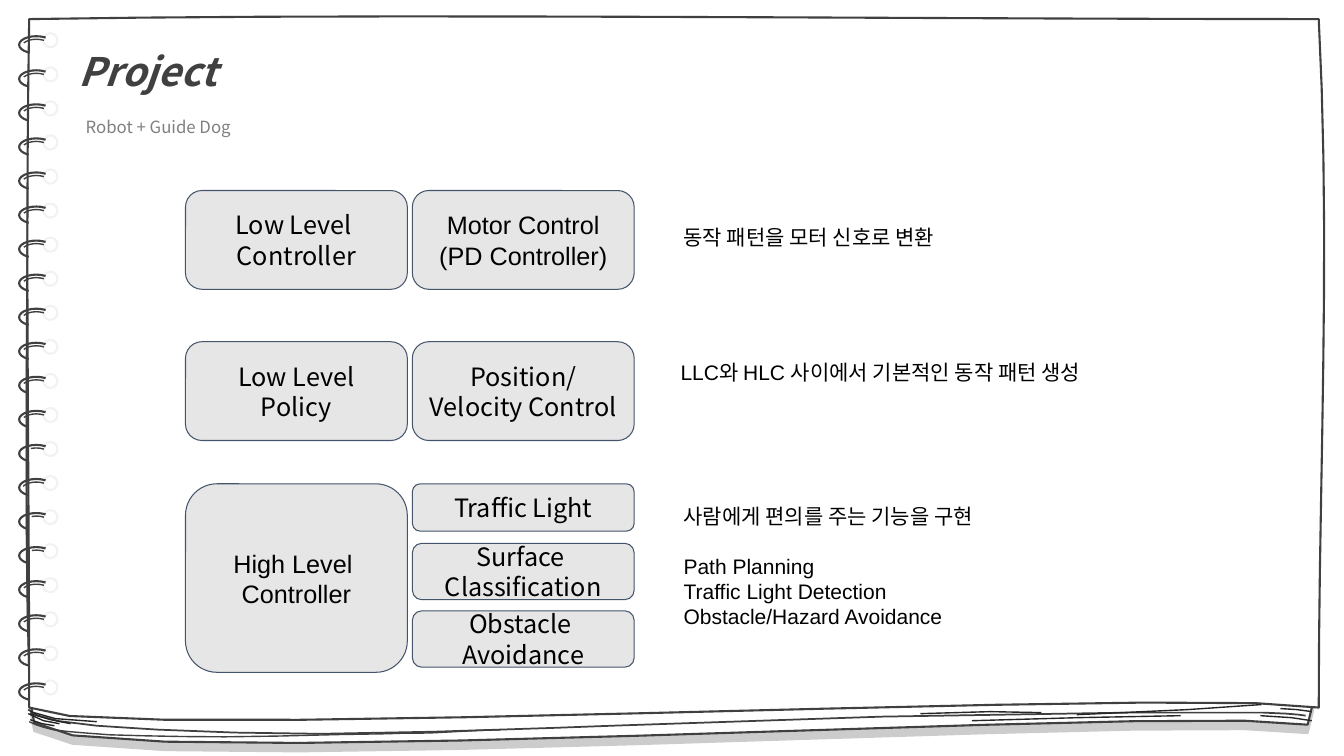
from dataclasses import dataclass

from lxml import etree
from pptx import Presentation
from pptx.dml.color import RGBColor
from pptx.enum.shapes import MSO_SHAPE as Preset
from pptx.enum.text import MSO_ANCHOR as Anchor, MSO_AUTO_SIZE as AutoSize, PP_ALIGN as Align
from pptx.oxml.ns import qn
from pptx.util import Inches, Pt

Point = tuple[float, float]


@dataclass(frozen=True)
class Theme:
    paper: str = "FFFFFF"
    ink: str = "404040"
    dark_ink: str = "262626"
    hole: str = "F2F2F2"
    card: str = "E7E6E6"
    card_line: str = "44546A"
    text: str = "000000"
    muted: str = "808080"
    sans: str = "Arial"
    korean: str = "Noto Sans CJK KR"
    title_size: int = 28
    card_size: int = 18
    note_size: int = 15
    subtitle_size: int = 12


THEME = Theme()


@dataclass(frozen=True)
class Stroke:
    """A pen line: each segment holds one point (straight) or three (Bézier)."""
    start: Point
    segments: list[list[Point]]
    color: str = THEME.dark_ink
    width: float = 1
    closed: bool = False
    shadow: bool = False


@dataclass(frozen=True)
class Card:
    lines: list[str]
    left: float
    top: float
    height: float = 0.98
    font: str = THEME.korean


@dataclass(frozen=True)
class Note:
    text: str
    left: float
    top: float
    width: float
    line_spacing: float


# Notebook pages and the sketchy page edges at the bottom
STROKES = [
    Stroke((0.3, 0.41), [[(3.87, 0.35), (8.75, 0.41), (12.98, 0.41)],
                         [(13.09, 2.7), (13.16, 6.88), (12.97, 7.19)],
                         [(11.83, 6.97), (0.58, 7.71), (0.34, 7.17)],
                         [(0.23, 7.07), (0.26, 2.68), (0.3, 0.41)]],
           THEME.ink, 1.5, closed=True, shadow=True),
    Stroke((0.29, 0.19), [[(3.89, 0.13), (8.82, 0.19), (13.08, 0.19)],
                          [(13.2, 2.48), (13.08, 4.74), (13.08, 7.02)],
                          [(11.93, 6.8), (0.6, 7.39), (0.29, 7.02)],
                          [(0.29, 4.74), (0.25, 2.45), (0.29, 0.19)]],
           THEME.ink, 1.5, closed=True),
    Stroke((0.28, 7.04), [[(0.34, 7.1), (0.48, 7.16), (0.96, 7.2)],
                          [(1.44, 7.24), (2.33, 7.28), (3.18, 7.28)],
                          [(4.03, 7.28), (6.07, 7.2), (6.07, 7.2)],
                          [(8.75, 7.11)], [(11.19, 7.07)],
                          [(11.82, 7.07), (12.24, 7.07), (12.53, 7.07)],
                          [(12.82, 7.08), (12.89, 7.09), (12.95, 7.1)]], THEME.ink, 1.25),
    Stroke((0.29, 7.16), [[(0.35, 7.19), (0.4, 7.21), (0.53, 7.24)],
                          [(0.67, 7.26), (0.81, 7.27), (1.09, 7.29)],
                          [(1.38, 7.3), (1.78, 7.31), (2.23, 7.31)],
                          [(2.69, 7.31), (3.47, 7.28), (3.82, 7.28)],
                          [(3.98, 7.27), (4.11, 7.28), (4.3, 7.27)],
                          [(4.49, 7.26), (4.84, 7.24), (4.97, 7.24)]], THEME.ink),
    Stroke((9.64, 7.15), [[(10.69, 7.12)], [(11.71, 7.1)]]),
    Stroke((9.13, 7.08), [[(9.82, 7.06)], [(10.33, 7.07)]]),
    Stroke((10.68, 7.09), [[(11.78, 7.04)], [(12.51, 6.99)]]),
    Stroke((13.01, 7.15), [[(12.81, 7.12)], [(12.5, 7.1)]]),
    Stroke((13.01, 7.06), [[(12.86, 7.04)], [(12.7, 7.03)]]),
    Stroke((0.3, 7.06), [[(0.55, 7.13)], [(0.96, 7.16)]]),
    Stroke((0.3, 7.08), [[(0.5, 7.14)], [(0.7, 7.18)]]),
    Stroke((0.28, 7.08), [[(0.43, 7.15)], [(0.59, 7.18)]]),
    Stroke((0.3, 7.14), [[(0.42, 7.18)], [(0.54, 7.2)]]),
]
PAGE_STEPS, EDGE_STEPS = 10, 3

# Spiral binding
RING_COUNT, FIRST_RING, LAST_RING = 20, 0.33, 6.75
ARC_END, OUTER_START, INNER_START = 193.3, 80.72, 117.2
SHORTER_INNER = {12: 138.14, 13: 115.22, 14: 141.26, 15: 142.01}

# Control layers on the left, their parts on the right
LAYER_X, PART_X, CARD_WIDTH = 1.84, 4.09, 2.2
CARDS = [
    Card(["Low Level ", "Controller"], LAYER_X, 1.89),
    Card(["Low Level Policy"], LAYER_X, 3.39),
    Card(["High Level ", "Controller"], LAYER_X, 4.8, 1.87, THEME.sans),
    Card(["Motor Control", "(PD Controller)"], PART_X, 1.89, font=THEME.sans),
    Card(["Position/Velocity Control"], PART_X, 3.39),
    Card(["Traffic Light"], PART_X, 4.8, 0.47),
    Card(["Surface ", "Classification"], PART_X, 5.39, 0.56),
    Card(["Obstacle ", "Avoidance"], PART_X, 6.06, 0.56),
]
NOTES = [
    Note("동작 패턴을 모터 신호로 변환", 6.56, 2.21, 3.24, 0.9),
    Note("LLC와 HLC 사이에서 기본적인 동작 패턴 생성", 6.53, 3.52, 4.74, 1),
]
FUNCTIONS = ["사람에게 편의를 주는 기능을 구현", "Path Planning",
             "Traffic Light Detection", "Obstacle/Hazard Avoidance"]


def place(shape, left: float, top: float, width: float, height: float) -> None:
    shape.left, shape.top = Inches(left), Inches(top)
    shape.width, shape.height = Inches(width), Inches(height)


def write_text(shape, lines: list[str], *, size: float, font: str = THEME.sans,
               color: str = THEME.text, bold: bool = False, italic: bool = False,
               align=Align.LEFT, anchor=Anchor.TOP, line_spacing: float = 1,
               insets: Point = (0, 0)) -> None:
    frame = shape.text_frame
    frame.word_wrap, frame.auto_size, frame.vertical_anchor = True, AutoSize.NONE, anchor
    frame.margin_left, frame.margin_top = map(Inches, insets)
    frame.margin_right = frame.margin_bottom = Inches(min(insets))
    for index, line in enumerate(lines):
        paragraph = frame.paragraphs[0] if index == 0 else frame.add_paragraph()
        paragraph.alignment, paragraph.line_spacing = align, line_spacing
        paragraph.space_before = paragraph.space_after = Pt(0)
        run = paragraph.add_run()
        run.text = line
        run.font.name, run.font.size = font, Pt(size)
        run.font.bold, run.font.italic = bold, italic
        run.font.color.rgb = RGBColor.from_string(color)
    # Korean glyphs and bullet-free paragraphs
    for latin in list(shape.element.iter(qn("a:latin"))):
        latin.addnext(etree.Element(qn("a:ea"), typeface=THEME.korean))
    for properties in list(shape.element.iter(qn("a:pPr"))):
        properties.set("marL", "0")
        properties.set("indent", "0")
        etree.SubElement(properties, qn("a:buNone"))


def style(shape, fill: str | None, line: str, width: float) -> None:
    shape.shadow.inherit = False
    if fill:
        shape.fill.solid()
        shape.fill.fore_color.rgb = RGBColor.from_string(fill)
    else:
        shape.fill.background()
    shape.line.color.rgb = RGBColor.from_string(line)
    shape.line.width = Pt(width)


def add_preset(shapes, preset, box: tuple[float, float, float, float],
               fill: str | None, line: str, width: float):
    shape = shapes.add_shape(preset, *map(Inches, box))
    style(shape, fill, line, width)
    return shape


def trace(stroke: Stroke) -> list[tuple[int, int]]:
    steps = PAGE_STEPS if stroke.closed else EDGE_STEPS
    points, pen = [], stroke.start
    for segment in stroke.segments:
        if len(segment) == 1:
            points.append(segment[0])
        else:
            for t in (step / steps for step in range(1, steps + 1)):
                weights = ((1 - t) ** 3, 3 * t * (1 - t) ** 2, 3 * t * t * (1 - t), t ** 3)
                points.append(tuple(sum(w * p[axis] for w, p in zip(weights, [pen, *segment]))
                                    for axis in (0, 1)))
        pen = segment[-1]
    return [(Inches(x), Inches(y)) for x, y in points]


def draw_stroke(shapes, stroke: Stroke) -> None:
    builder = shapes.build_freeform(*map(Inches, stroke.start))
    builder.add_line_segments(trace(stroke), close=stroke.closed)
    shape = builder.convert_to_shape()
    style(shape, THEME.paper if stroke.closed else None, stroke.color, stroke.width)
    if stroke.shadow:
        effects = shape.element.find(".//" + qn("a:effectLst"))
        outer = etree.SubElement(effects, qn("a:outerShdw"), dist=str(Pt(6)), dir="5400000")
        black = etree.SubElement(outer, qn("a:srgbClr"), val=THEME.text)
        etree.SubElement(black, qn("a:alpha"), val="20000")


def draw_ring(shapes, index: int) -> None:
    top = FIRST_RING + index * (LAST_RING - FIRST_RING) / (RING_COUNT - 1)
    add_preset(shapes, Preset.OVAL, (0.43, top, 0.14, 0.14), THEME.paper, THEME.hole, 1.5)
    inner_start = SHORTER_INNER.get(index, INNER_START)
    for box, start, width in (((0.19, top + 0.03, 0.34, 0.17), OUTER_START, 1.5),
                              ((0.22, top + 0.06, 0.28, 0.14), inner_start, 1)):
        arc = add_preset(shapes, Preset.ARC, box, None, THEME.ink, width)
        arc.adjustments[0], arc.adjustments[1] = start, ARC_END


def draw_card(shapes, card: Card) -> None:
    box = (card.left, card.top, CARD_WIDTH, card.height)
    shape = add_preset(shapes, Preset.ROUNDED_RECTANGLE, box, THEME.card, THEME.card_line, 0.75)
    write_text(shape, card.lines, size=THEME.card_size, font=card.font,
               align=Align.CENTER, anchor=Anchor.MIDDLE, insets=(0.1, 0.1))


def main() -> None:
    deck = Presentation()
    deck.slide_width, deck.slide_height = Inches(13.33), Inches(7.5)
    slide = deck.slides.add_slide(deck.slide_layouts[3])
    shapes = slide.shapes
    title, subtitle, functions = list(slide.placeholders)[:3]

    for stroke in STROKES:
        draw_stroke(shapes, stroke)
    for index in range(RING_COUNT):
        draw_ring(shapes, index)

    # Heading and function list, brought in front of the page
    for placeholder in (title, subtitle, functions):
        shapes.element.append(placeholder.element)
    place(title, 0.78, 0.47, 6, 0.6)
    write_text(title, ["Project"], size=THEME.title_size, font=THEME.korean,
               color=THEME.ink, bold=True, italic=True)
    place(subtitle, 0.85, 1.16, 6, 0.3)
    write_text(subtitle, ["Robot + Guide Dog"], size=THEME.subtitle_size,
               font=THEME.korean, color=THEME.muted)
    place(functions, 6.56, 4.94, 3.67, 1.67)
    write_text(functions, FUNCTIONS, size=THEME.note_size, insets=(0.22, 0.05))
    functions.text_frame.paragraphs[1].space_before = Pt(18)

    for note in NOTES:
        box = shapes.add_textbox(*map(Inches, (note.left, note.top, note.width, 0.5)))
        write_text(box, [note.text], size=THEME.note_size,
                   line_spacing=note.line_spacing, insets=(0.22, 0.05))
    for card in CARDS:
        draw_card(shapes, card)

    deck.save("out.pptx")


if __name__ == "__main__":
    main()
